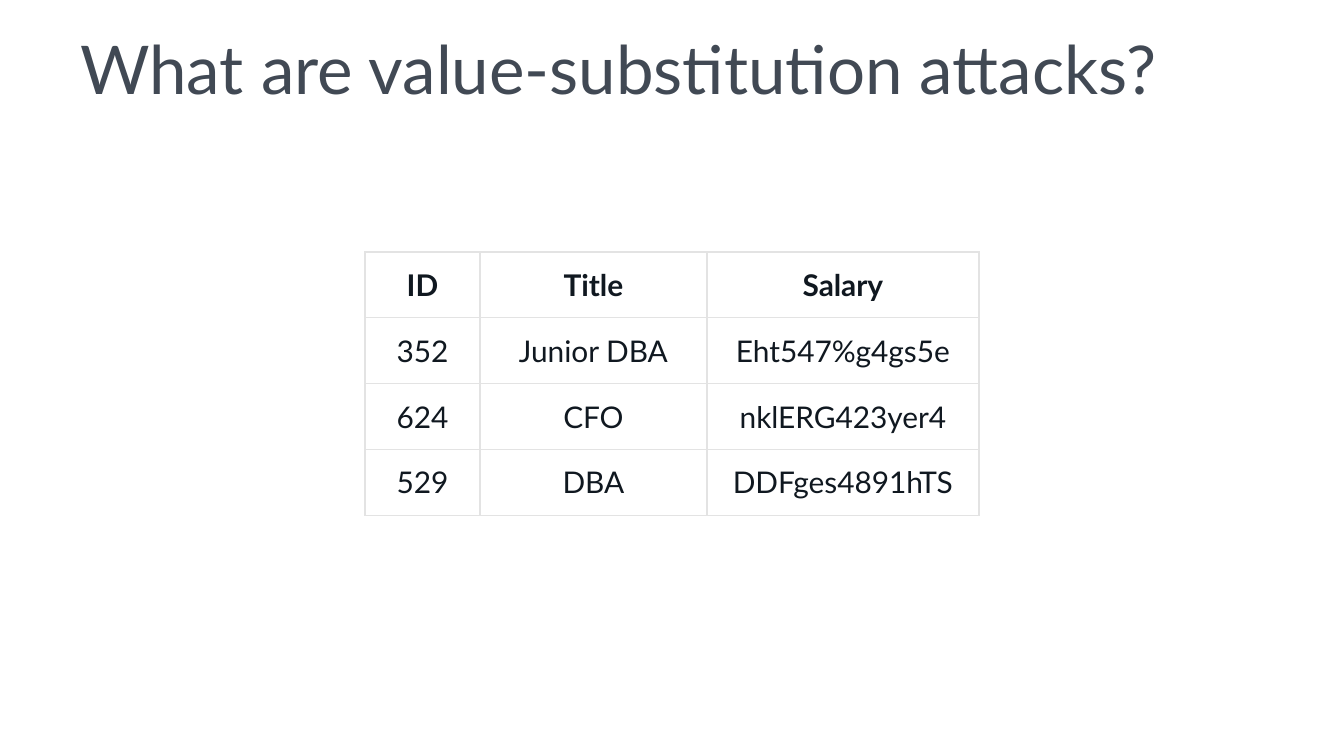
from lxml.etree import SubElement as Sub
from pptx import Presentation
from pptx.dml.color import RGBColor as RGB
from pptx.enum.text import MSO_ANCHOR as Anchor, PP_ALIGN as Align
from pptx.oxml.ns import qn
from pptx.util import Pt

PX = 914400 / 134.4
WHITE = RGB(0xFF, 0xFF, 0xFF)
SLATE = RGB(0x41, 0x49, 0x54)
INK = RGB(0x10, 0x18, 0x20)
GREY = RGB(0xE3, 0xE3, 0xE3)


def emu(px):
    return round(px * PX)


class Deck:
    font = "Lato"

    def __init__(self, wide, high):
        self.prs = Presentation()
        self.prs.slide_width, self.prs.slide_height = emu(wide), emu(high)
        self.slide = self.prs.slides.add_slide(self.prs.slide_layouts[6])

    def style(self, para, size, color, bold=False):
        for run in para.runs:
            font = run.font
            font.name, font.size, font.bold = self.font, Pt(size), bold
            font.color.rgb = color

    def title(self, text, *box):
        frame = self.slide.shapes.add_textbox(*map(emu, box)).text_frame
        frame.word_wrap = True
        frame.text = text
        para = frame.paragraphs[0]
        para.line_spacing = Pt(35)
        self.style(para, 36, SLATE)

    def border(self, cell, side, width):
        line = Sub(cell._tc.get_or_add_tcPr(), qn("a:ln" + side), w=str(Pt(width)))
        fill = Sub(line, qn("a:solidFill"))
        Sub(fill, qn("a:srgbClr"), val=str(GREY))

    def cell(self, cell, text, head, top, base):
        cell.text = text
        cell.margin_left = cell.margin_right = emu(20)
        cell.margin_top = cell.margin_bottom = emu(15)
        cell.vertical_anchor = Anchor.BOTTOM if head else Anchor.TOP
        para = cell.text_frame.paragraphs[0]
        para.alignment = Align.CENTER
        self.style(para, 16, INK, head)
        for side, width in zip("LRTB", (1, 1, top, base)):
            self.border(cell, side, width)
        cell.fill.solid()
        cell.fill.fore_color.rgb = WHITE

    def table(self, rows, left, top, cols, highs):
        shape = self.slide.shapes.add_table(
            len(rows), len(cols), emu(left), emu(top), emu(sum(cols)), emu(sum(highs)))
        grid = shape.table
        for col, width in zip(grid.columns, cols):
            col.width = emu(width)
        last = len(rows) - 1
        for r, (row, high) in enumerate(zip(rows, highs)):
            grid.rows[r].height = emu(high)
            over = 1 if r == 0 else 0.75
            under = 1 if r == last else 0.75
            for c, text in enumerate(row):
                self.cell(grid.cell(r, c), text, r == 0, over, under)


# Slide and heading
deck = Deck(1344, 756)
deck.title("What are value-substitution attacks?", 67, 36, 1210, 90)

# Salary table with encrypted values
staff = [
    ("ID", "Title", "Salary"),
    ("352", "Junior DBA", "Eht547%g4gs5e"),
    ("624", "CFO", "nklERG423yer4"),
    ("529", "DBA", "DDFges4891hTS"),
]
deck.table(staff, 365, 252, (115, 227, 272), [65] * len(staff))

deck.prs.save("out.pptx")
